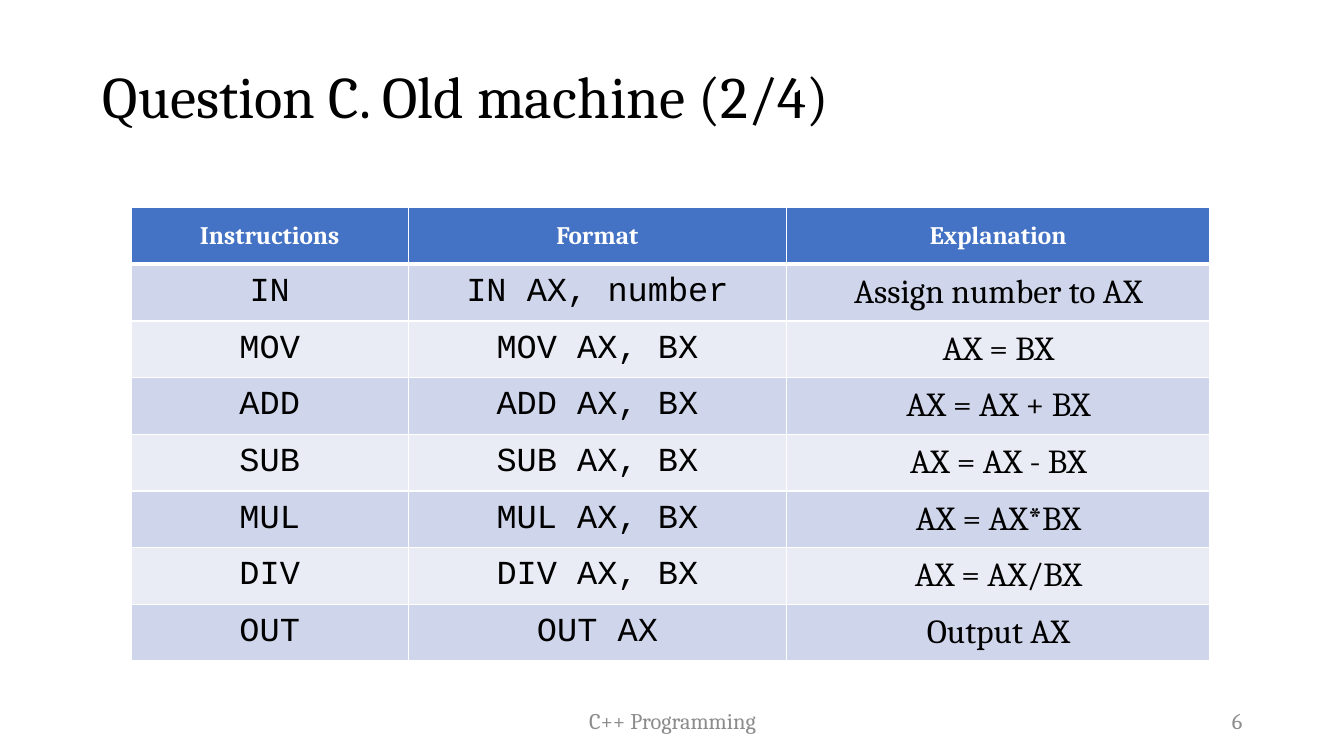
import pptx
import pptx.dml.color
import pptx.enum.text
import pptx.oxml
import pptx.oxml.ns
import pptx.util
from pptx.util import Inches

SERIF = "Cambria"
MONO = "Courier New"
ALIGN = pptx.enum.text.PP_ALIGN
MIDDLE = pptx.enum.text.MSO_ANCHOR.MIDDLE

HEADINGS = ("Instructions", "Format", "Explanation")
INSTRUCTIONS = (
    ("IN", "IN AX, number", "Assign number to AX"),
    ("MOV", "MOV AX, BX", "AX = BX"),
    ("ADD", "ADD AX, BX", "AX = AX + BX"),
    ("SUB", "SUB AX, BX", "AX = AX - BX"),
    ("MUL", "MUL AX, BX", "AX = AX*BX"),
    ("DIV", "DIV AX, BX", "AX = AX/BX"),
    ("OUT", "OUT AX", "Output AX"),
)
COLUMN_WIDTHS = (2.75, 3.75, 4.2)
TABLE_HEIGHT = 4.5


def color(value):
    """Return the colour of a hex string."""
    return pptx.dml.color.RGBColor.from_string(value)


def write(frame, text, size, font, ink, align, bold=False):
    """Write one formatted line into a text frame."""
    para = frame.paragraphs[0]
    para.alignment = align
    span = para.add_run()
    span.text = text
    span.font.size = pptx.util.Pt(size)
    span.font.name = font
    span.font.bold = bold
    span.font.color.rgb = color(ink)
    return para


def add_title(page, text):
    """Place and fill the title placeholder."""
    title = page.shapes.title
    title.left, title.top = Inches(0.92), Inches(0.26)
    title.width, title.height = Inches(11.5), Inches(1.45)
    title.text_frame.vertical_anchor = MIDDLE
    para = write(title.text_frame, text, 42, SERIF, "000000", ALIGN.LEFT)
    para.line_spacing = 0.9


def add_footer(page, left, width, text, align):
    """Add a grey line of text at the foot of the page."""
    box = page.shapes.add_textbox(Inches(left), Inches(6.95), Inches(width), Inches(0.4))
    box.text_frame.word_wrap = True
    box.text_frame.vertical_anchor = MIDDLE
    write(box.text_frame, text, 16, SERIF, "8C8C8C", align)


def set_border(cell, side, points):
    """Draw a white border on one side of a cell."""
    cell._tc.get_or_add_tcPr().append(pptx.oxml.parse_xml(
        f'<a:ln{side} {pptx.oxml.ns.nsdecls("a")} w="{pptx.util.Pt(points)}">'
        f'<a:solidFill><a:srgbClr val="FFFFFF"/></a:solidFill></a:ln{side}>'))


def fill_cell(cell, text, size, font, ink, fill, top=1, bottom=1, bold=False):
    """Format a table cell and write its text."""
    for side, points in (("L", 1), ("R", 1), ("T", top), ("B", bottom)):
        set_border(cell, side, points)
    cell.fill.solid()
    cell.fill.fore_color.rgb = color(fill)
    cell.vertical_anchor = MIDDLE
    write(cell.text_frame, text, size, font, ink, ALIGN.CENTER, bold)


def add_instruction_table(page):
    """Add the table of machine instructions."""
    row_count = len(INSTRUCTIONS) + 1
    table = page.shapes.add_table(
        row_count, len(HEADINGS), Inches(1.3), Inches(2.06),
        Inches(sum(COLUMN_WIDTHS)), Inches(TABLE_HEIGHT)).table
    for column, width in zip(table.columns, COLUMN_WIDTHS):
        column.width = Inches(width)
    for row in table.rows:
        row.height = Inches(TABLE_HEIGHT / row_count)
    for index, heading in enumerate(HEADINGS):
        fill_cell(table.cell(0, index), heading, 18, SERIF, "FFFFFF", "4472C4",
                  bottom=3, bold=True)
    for number, instruction in enumerate(INSTRUCTIONS, 1):
        band = "CFD5EA" if number % 2 else "E9EBF5"
        for index, (text, font) in enumerate(zip(instruction, (MONO, MONO, SERIF))):
            fill_cell(table.cell(number, index), text, 24, font, "000000", band,
                      top=3 if number == 1 else 1)


def main():
    """Build the slide and save it."""
    deck = pptx.Presentation()
    deck.slide_width, deck.slide_height = Inches(13.33), Inches(7.5)
    page = deck.slides.add_slide(deck.slide_layouts.get_by_name("Title Only"))
    add_title(page, "Question C. Old machine (2/4)")
    add_footer(page, 4.42, 4.5, "C++ Programming", ALIGN.CENTER)
    add_footer(page, 9.42, 3, "6", ALIGN.RIGHT)
    add_instruction_table(page)
    deck.save("out.pptx")


if __name__ == "__main__":
    main()
